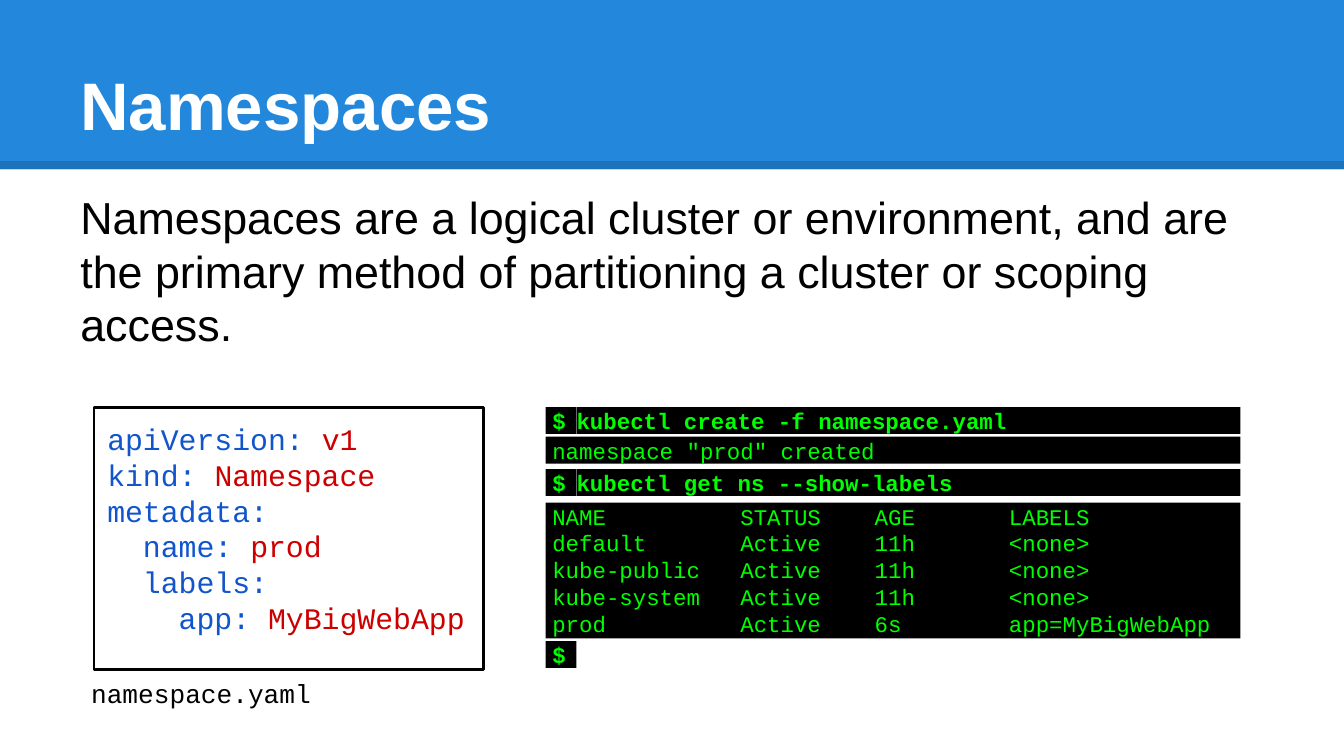
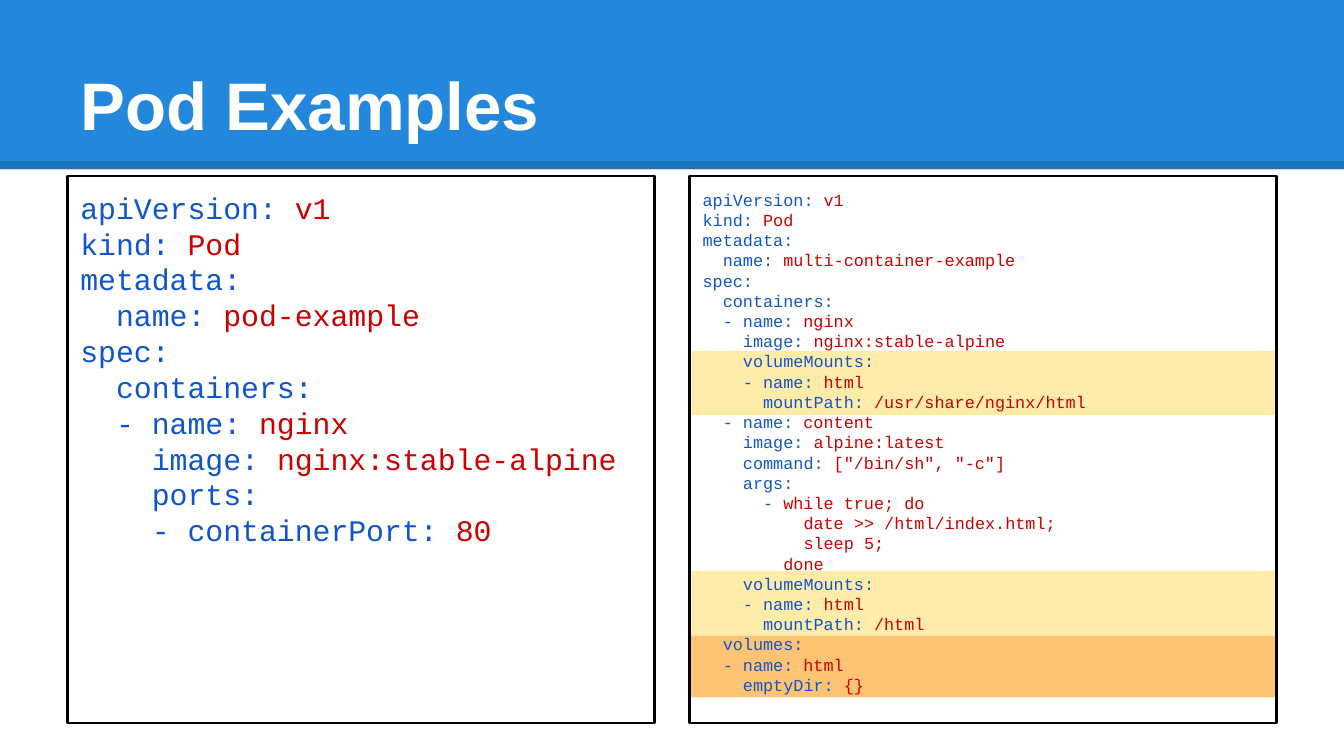
from dataclasses import dataclass

from lxml.etree import SubElement
from pptx import Presentation
from pptx.dml.color import RGBColor
from pptx.enum.shapes import MSO_CONNECTOR, MSO_SHAPE
from pptx.enum.text import MSO_ANCHOR, MSO_AUTO_SIZE, PP_ALIGN
from pptx.oxml.ns import qn
from pptx.util import Inches, Pt

WIDE = 10
HIGH = WIDE * 9 / 16

BLUE = RGBColor(0x23, 0x88, 0xDB)
WHITE = RGBColor(0xFF, 0xFF, 0xFF)
BLACK = RGBColor(0, 0, 0)
GREEN = RGBColor(0, 0xFF, 0)
KEY = RGBColor(0x11, 0x55, 0xCC)
VALUE = RGBColor(0xCC, 0, 0)
GOLD = RGBColor(0xFF, 0xEC, 0xA9)
AMBER = RGBColor(0xFF, 0xC3, 0x74)
SANS, MONO = "Arial", "Courier New"

SPACE_YAML = """apiVersion: v1
kind: Namespace
metadata:
  name: prod
  labels:
    app: MyBigWebApp"""

POD_YAML = """apiVersion: v1
kind: Pod
metadata:
  name: pod-example
spec:
  containers:
  - name: nginx
    image: nginx:stable-alpine
    ports:
    - containerPort: 80"""

MULTI_YAML = """apiVersion: v1
kind: Pod
metadata:
  name: multi-container-example
spec:
  containers:
  - name: nginx
    image: nginx:stable-alpine
    volumeMounts:
    - name: html
      mountPath: /usr/share/nginx/html
  - name: content
    image: alpine:latest
    command: ["/bin/sh", "-c"]
    args:
      - while true; do
          date >> /html/index.html;
          sleep 5;
        done
    volumeMounts:
    - name: html
      mountPath: /html
  volumes:
  - name: html
    emptyDir: {}"""

LISTING = """NAME          STATUS    AGE       LABELS
default       Active    11h       <none>
kube-public   Active    11h       <none>
kube-system   Active    11h       <none>
prod          Active    6s        app=MyBigWebApp"""


@dataclass(frozen=True)
class Box:
    """A place on the slide, in inches."""
    left: float
    top: float
    width: float
    height: float

    def emu(self) -> tuple:
        """Give the place as lengths."""
        return tuple(map(Inches, (self.left, self.top, self.width, self.height)))


@dataclass(frozen=True)
class Style:
    """The look of a text."""
    font: str
    size: float
    color: RGBColor
    bold: bool = False


@dataclass(frozen=True)
class Row:
    """A line or block of the terminal."""
    top: float
    text: str
    prompt: bool = False
    height: float = 0.2


HEAD = Style(SANS, 36, WHITE, True)
BODY = Style(SANS, 24, BLACK)
NAME = Style(MONO, 14, BLACK)
SHELL = Style(MONO, 12, GREEN)
ORDER = Style(MONO, 12, GREEN, True)

ROWS = [
    Row(3.03, "kubectl create -f namespace.yaml", True),
    Row(3.25, 'namespace "prod" created'),
    Row(3.49, "kubectl get ns --show-labels", True),
    Row(3.74, LISTING, height=1.01),
    Row(4.77, "", True),
]
BANDS = [
    (Box(5.13, 2.61, 4.37, 0.48), GOLD),
    (Box(5.13, 4.25, 4.37, 0.48), GOLD),
    (Box(5.13, 4.73, 4.37, 0.46), AMBER),
]


def paint(run, style: Style) -> None:
    """Apply a style to a run."""
    font = run.font
    font.name, font.size, font.bold = style.font, Pt(style.size), style.bold
    font.color.rgb = style.color


def block(slide, box: Box, fill: RGBColor | None = None):
    """Draw a plain rectangle."""
    shape = slide.shapes.add_shape(MSO_SHAPE.RECTANGLE, *box.emu())
    shape.shadow.inherit = False
    shape.line.fill.background()
    if fill is None:
        shape.fill.background()
    else:
        shape.fill.solid()
        shape.fill.fore_color.rgb = fill
    return shape


def setup(shape, pads: tuple, anchor=MSO_ANCHOR.TOP):
    """Set the margins, wrap and anchor of a shape's text."""
    frame = shape.text_frame
    frame.word_wrap, frame.vertical_anchor = True, anchor
    (frame.margin_left, frame.margin_top,
     frame.margin_right, frame.margin_bottom) = map(Inches, pads)
    return frame


def write(shape, text: str, style: Style, pads: tuple = (0.1,) * 4,
          anchor=MSO_ANCHOR.TOP, grow: bool = False) -> None:
    """Fill a shape with text of one style."""
    frame = setup(shape, pads, anchor)
    frame.text = text
    if grow:
        frame.auto_size = MSO_AUTO_SIZE.SHAPE_TO_FIT_TEXT
    for para in frame.paragraphs:
        para.alignment = PP_ALIGN.LEFT
        for run in para.runs:
            paint(run, style)


def split(line: str) -> tuple[str, str]:
    """Part a line of YAML into key and value."""
    if line.endswith(":"):
        return line, ""
    for mark in (": ", "- "):
        head, sep, tail = line.partition(mark)
        if sep:
            return head + sep, tail
    return "", line


def yaml(slide, box: Box, text: str, size: float) -> None:
    """Draw a framed, coloured YAML file."""
    shape = block(slide, box)
    shape.line.color.rgb, shape.line.width = BLACK, Pt(1.5)
    frame = setup(shape, (0.1,) * 4)
    for index, line in enumerate(text.split("\n")):
        para = frame.add_paragraph() if index else frame.paragraphs[0]
        para.alignment = PP_ALIGN.LEFT
        for part, color in zip(split(line), (KEY, VALUE)):
            if part:
                run = para.add_run()
                run.text = part
                paint(run, Style(MONO, size, color))


def shell(slide, row: Row) -> None:
    """Draw one row of the terminal."""
    left, full, mark = 4.06, 5.17, 0.23
    pads = (0.05, 0, 0.1, 0)
    if row.prompt:
        write(block(slide, Box(left, row.top, mark, row.height), BLACK),
              "$", ORDER, pads, grow=True)
        left, full, pads = left + mark, full - mark, (0, 0, 0.1, 0)
    if row.text:
        write(block(slide, Box(left, row.top, full, row.height), BLACK),
              row.text, ORDER if row.prompt else SHELL, pads, grow=True)


def label(slide, box: Box, text: str, style: Style, **look) -> None:
    """Add a text box."""
    write(slide.shapes.add_textbox(*box.emu()), text, style, **look)


def start(deck, title: str):
    """Add a slide with the title band."""
    slide = deck.slides.add_slide(deck.slide_layouts[6])
    block(slide, Box(0, 0, WIDE, 1.26), BLUE)
    edge = slide.shapes.add_connector(
        MSO_CONNECTOR.STRAIGHT, 0, Inches(1.23), Inches(WIDE), Inches(1.23))
    edge.line.width, edge.line.color.rgb = Pt(4.5), BLACK
    props = edge._element.spPr
    tint = next(props.iter(qn("a:srgbClr")))
    SubElement(tint, qn("a:alpha")).set("val", "15000")
    SubElement(props, qn("a:effectLst"))
    label(slide, Box(0.5, 0.23, 9, 0.94), title, HEAD, anchor=MSO_ANCHOR.BOTTOM)
    return slide


def spaces(deck) -> None:
    """Build the slide on namespaces."""
    slide = start(deck, "Namespaces")
    label(slide, Box(0.5, 1.31, 9, 1.72),
          "Namespaces are a logical cluster or environment, and are the primary "
          "method of partitioning a cluster or scoping access.", BODY)
    yaml(slide, Box(0.7, 3.03, 2.9, 1.95), SPACE_YAML, 16)
    for row in ROWS:
        shell(slide, row)
    label(slide, Box(0.58, 4.99, 2.1, 0.34), "namespace.yaml", NAME,
          pads=(0.1, 0.05, 0.1, 0.05), grow=True)


def pods(deck) -> None:
    """Build the slide on pods."""
    slide = start(deck, "Pod Examples")
    yaml(slide, Box(0.5, 1.31, 4.37, 4.07), POD_YAML, 16)
    for box, fill in BANDS:
        block(slide, box, fill)
    yaml(slide, Box(5.13, 1.31, 4.37, 4.07), MULTI_YAML, 9)


def main() -> None:
    """Build and save the deck."""
    deck = Presentation()
    deck.slide_width, deck.slide_height = Inches(WIDE), Inches(HIGH)
    spaces(deck)
    pods(deck)
    deck.save("out.pptx")


if __name__ == "__main__":
    main()
